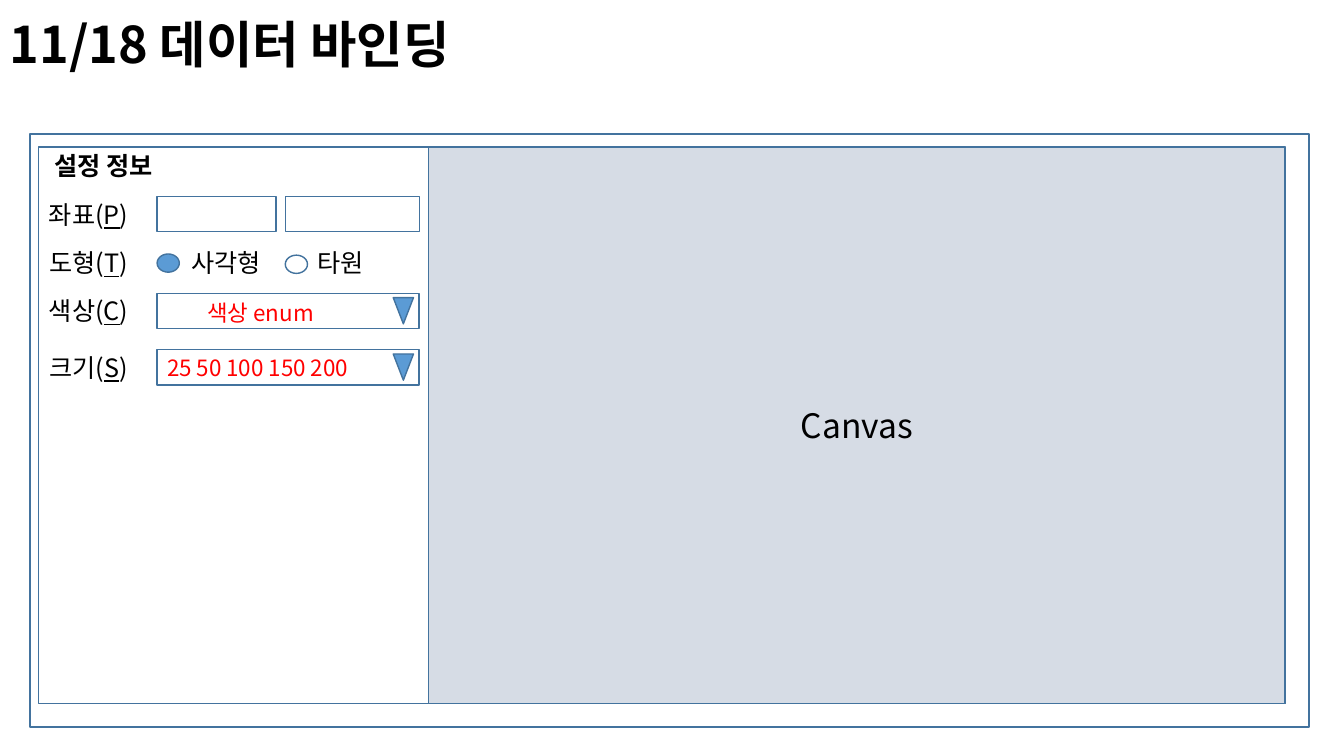
from dataclasses import dataclass

import lxml.etree
import pptx
import pptx.dml.color
import pptx.enum.shapes
import pptx.enum.text
import pptx.oxml.ns
import pptx.util

Cm = pptx.util.Cm
Kind = pptx.enum.shapes.MSO_SHAPE
Align = pptx.enum.text.PP_ALIGN
Anchor = pptx.enum.text.MSO_ANCHOR
qn = pptx.oxml.ns.qn

FONT = "Noto Sans CJK KR"
COLORS = {
    "outline": "43739E",
    "canvas": "D6DCE5",
    "accent": "5B9BD5",
    "white": "FFFFFF",
    "text": "000000",
    "value": "FF0000",
}
PANEL_LEFT, PANEL_TOP, PANEL_HEIGHT = 0.97, 3.71, 14.02
FIELD_LEFT, SECOND_LEFT, FIELD_WIDTH, ROW_HEIGHT = 3.96, 7.19, 6.6, 0.89
POSITION_TOP, TYPE_TOP, COLOR_TOP, SIZE_TOP = 4.95, 6.17, 7.39, 8.81


@dataclass(frozen=True)
class Box:
    left: float
    top: float
    width: float
    height: float
    fill: str | None = None
    kind: Kind = Kind.RECTANGLE
    rotation: float = 0


@dataclass(frozen=True)
class Label:
    text: str
    left: float
    top: float
    width: float
    height: float
    size: int = 18
    color: str = "text"
    bold: bool = False
    centered: bool = False
    wrap: bool = True
    access_key: str = ""


def rgb(name: str) -> pptx.dml.color.RGBColor:
    return pptx.dml.color.RGBColor.from_string(COLORS[name])


def style(paragraph, size: int, color: str, bold: bool = False) -> None:
    font = paragraph.font
    font.name = FONT
    font.size = pptx.util.Pt(size)
    font.bold = bold
    font.color.rgb = rgb(color)
    properties = paragraph._p.pPr.find(qn("a:defRPr"))
    lxml.etree.SubElement(properties, qn("a:ea"), typeface=FONT)


def draw_box(slide, box: Box):
    shape = slide.shapes.add_shape(
        box.kind, Cm(box.left), Cm(box.top), Cm(box.width), Cm(box.height)
    )
    shape.shadow.inherit = False
    shape.rotation = box.rotation
    if box.fill:
        shape.fill.solid()
        shape.fill.fore_color.rgb = rgb(box.fill)
    else:
        shape.fill.background()
    shape.line.color.rgb = rgb("outline")
    shape.line.width = pptx.util.Pt(1)
    return shape


def draw_label(slide, label: Label) -> None:
    shape = slide.shapes.add_textbox(
        Cm(label.left), Cm(label.top), Cm(label.width), Cm(label.height)
    )
    frame = shape.text_frame
    frame.word_wrap = label.wrap
    paragraph = frame.paragraphs[0]
    if label.centered:
        frame.vertical_anchor = Anchor.MIDDLE
        paragraph.alignment = Align.CENTER
    style(paragraph, label.size, label.color, label.bold)
    if label.access_key:
        for text in (f"{label.text}(", label.access_key, ") "):
            run = paragraph.add_run()
            run.text = text
            run.font.underline = text == label.access_key
    else:
        paragraph.add_run().text = label.text


def field_label(text: str, access_key: str, top: float) -> Label:
    return Label(text, PANEL_LEFT, top, 2.67, ROW_HEIGHT,
                 centered=True, access_key=access_key)


def dropdown(top: float) -> list[Box]:
    return [
        Box(FIELD_LEFT, top, FIELD_WIDTH, ROW_HEIGHT),
        Box(9.91, top + 0.11, 0.51, 0.66, "accent", Kind.ISOSCELES_TRIANGLE, 180),
    ]


def radio(left: float, top: float, fill: str) -> Box:
    return Box(left, top, 0.56, 0.46, fill, Kind.OVAL)


BOXES = [
    Box(0.76, 3.38, 32.23, 14.94),
    Box(PANEL_LEFT, PANEL_TOP, 31.42, PANEL_HEIGHT),
    Box(FIELD_LEFT, POSITION_TOP, 3, ROW_HEIGHT),
    Box(SECOND_LEFT, POSITION_TOP, 3.38, ROW_HEIGHT),
    radio(FIELD_LEFT, 6.4, "accent"),
    radio(SECOND_LEFT, 6.43, "white"),
    *dropdown(COLOR_TOP),
    *dropdown(SIZE_TOP),
]
LABELS = [
    Label("11/18 데이터 바인딩", 0, 0.2, 33.3, 1.8, size=36, bold=True),
    Label("설정 정보", 0.46, 3.73, 4.32, ROW_HEIGHT, bold=True, centered=True),
    field_label("좌표", "P", POSITION_TOP),
    field_label("도형", "T", TYPE_TOP),
    field_label("색상", "C", COLOR_TOP),
    field_label("크기", "S", SIZE_TOP),
    Label("사각형", 4.57, 6.1, 2.44, 1.02, wrap=False),
    Label("타원", 7.75, 6.12, 1.8, 1.02, wrap=False),
    Label("색상 enum", 4.98, 7.42, 4.06, 0.94, size=16, color="value"),
    Label("25 50 100 150 200", FIELD_LEFT, 8.79, 5.79, 0.94, size=16, color="value"),
]

presentation = pptx.Presentation()
presentation.slide_width = Cm(33.87)
presentation.slide_height = Cm(19.05)
slide = presentation.slides.add_slide(presentation.slide_layouts[6])

for box in BOXES:
    draw_box(slide, box)

canvas = draw_box(slide, Box(10.8, PANEL_TOP, 21.59, PANEL_HEIGHT, "canvas"))
canvas.text_frame.text = "Canvas"
canvas.text_frame.vertical_anchor = Anchor.MIDDLE
canvas_paragraph = canvas.text_frame.paragraphs[0]
canvas_paragraph.alignment = Align.CENTER
style(canvas_paragraph, 24, "text")

for label in LABELS:
    draw_label(slide, label)

presentation.save("out.pptx")
